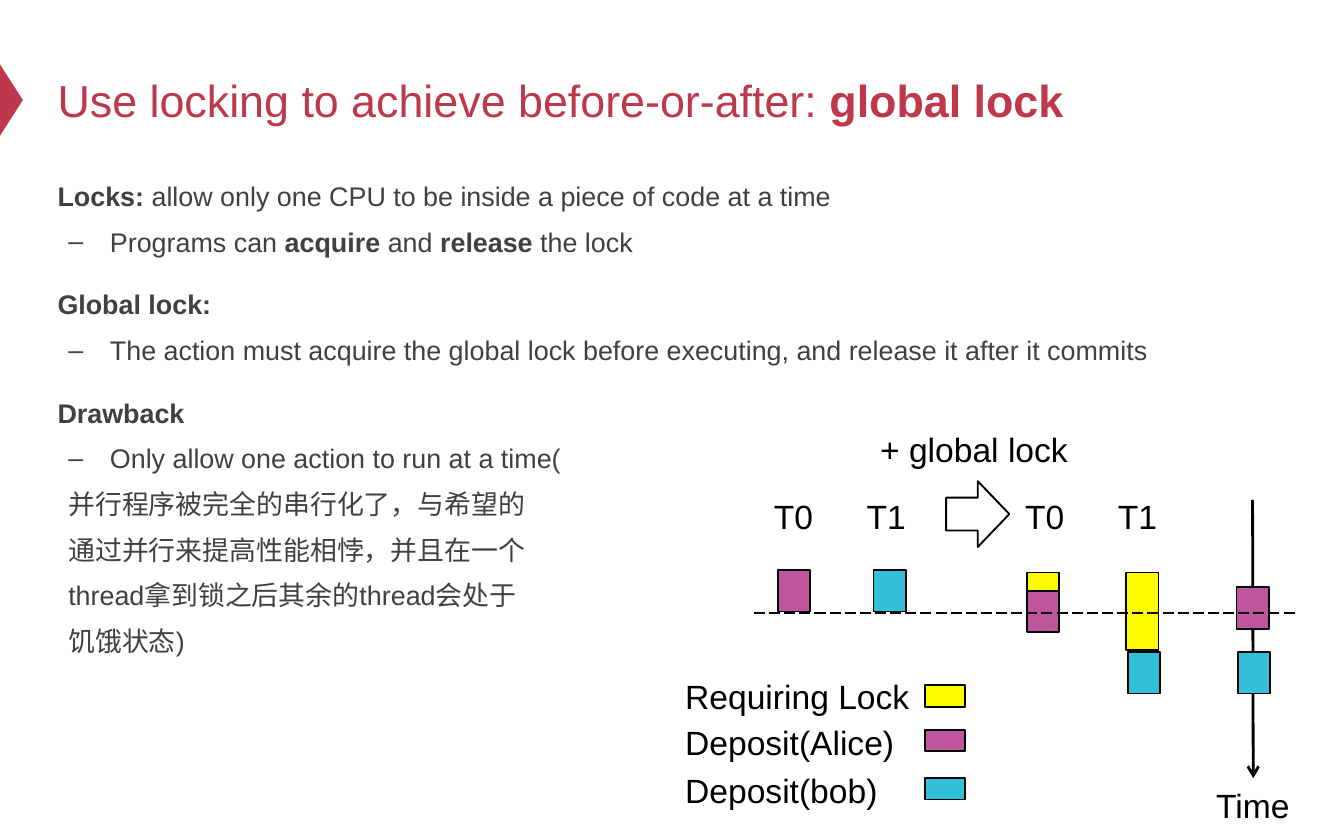
from lxml import etree
from pptx import Presentation
from pptx.dml.color import RGBColor
from pptx.enum.dml import MSO_LINE
from pptx.enum.shapes import MSO_CONNECTOR, MSO_SHAPE
from pptx.enum.text import MSO_ANCHOR
from pptx.oxml.ns import qn
from pptx.util import Inches, Pt

FONT = "Arial"
COLORS = {
    "accent": "BE384B",
    "body": "404040",
    "ink": "000000",
    "lock": "FFFC00",
    "alice": "BF569D",
    "bob": "32C0D8",
}
BLOCK_WIDTH, BLOCK_HEIGHT = 0.24, 0.31
BODY = [
    ("head", [("Locks: ", True), ("allow only one CPU to be inside a piece of code at a time", False)]),
    ("item", [("Programs can ", False), ("acquire", True), (" and ", False),
              ("release", True), (" the lock", False)]),
    ("head", [("Global lock:", True)]),
    ("item", [("The action must acquire the global lock before executing, "
               "and release it after it commits", False)]),
    ("head", [("Drawback", True)]),
    ("item", [("Only allow one action to run at a time(", False)]),
    ("note", [("并行程序被完全的串行化了，与希望的", False)]),
    ("note", [("通过并行来提高性能相悖，并且在一个", False)]),
    ("note", [("thread拿到锁之后其余的thread会处于", False)]),
    ("note", [("饥饿状态)", False)]),
]
INDENTS = {"head": (0, 0), "item": (0.39, -0.31), "note": (0.08, 0)}


def color(name):
    """Return the named palette colour."""
    return RGBColor.from_string(COLORS[name])


def add_spans(para, spans, size, color_name):
    """Fill a paragraph with (text, bold) spans."""
    for text, bold in spans:
        span = para.add_run()
        span.text = text
        span.font.name = FONT
        span.font.size = Pt(size)
        span.font.bold = bold
        span.font.color.rgb = color(color_name)


def add_text_box(page, left, top, width, height, wrap=True):
    """Add an empty text box."""
    box = page.shapes.add_textbox(Inches(left), Inches(top), Inches(width), Inches(height))
    box.text_frame.word_wrap = wrap
    return box


def add_label(page, text, left, top, width):
    """Add a single-line diagram label."""
    box = add_text_box(page, left, top, width, 0.4, wrap=False)
    add_spans(box.text_frame.paragraphs[0], [(text, False)], 18, "ink")
    return box


def add_block(page, fill, left, top, width=BLOCK_WIDTH, height=BLOCK_HEIGHT, kind=MSO_SHAPE.RECTANGLE):
    """Add an outlined shape, unfilled when fill is None."""
    block = page.shapes.add_shape(kind, Inches(left), Inches(top), Inches(width), Inches(height))
    block.shadow.inherit = False
    if fill:
        block.fill.solid()
        block.fill.fore_color.rgb = color(fill)
    else:
        block.fill.background()
    block.line.color.rgb = color("ink")
    block.line.width = Pt(1)
    return block


def add_line(page, start, end, width):
    """Add a straight black connector without shadow."""
    line = page.shapes.add_connector(
        MSO_CONNECTOR.STRAIGHT, *(Inches(value) for value in (*start, *end)))
    line.line.color.rgb = color("ink")
    line.line.width = Pt(width)
    etree.SubElement(line._element.spPr, qn("a:effectLst"))
    return line


def add_title(page, left, top, width, height):
    """Place the title and the marker at the slide edge."""
    marker = page.shapes.add_shape(
        MSO_SHAPE.ISOSCELES_TRIANGLE, Inches(left - 0.51), Inches(top + 0.41), Inches(0.53), Inches(0.17))
    marker.rotation = 90
    marker.shadow.inherit = False
    marker.fill.solid()
    marker.fill.fore_color.rgb = color("accent")
    marker.line.fill.background()
    frame = add_text_box(page, left, top, width, height).text_frame
    frame.vertical_anchor = MSO_ANCHOR.MIDDLE
    add_spans(frame.paragraphs[0],
              [("Use locking to achieve before-or-after: ", False), ("global lock", True)], 24, "accent")


def add_body(page, left, top, width, height):
    """Place the headings, dashed items and indented notes."""
    frame = add_text_box(page, left, top, width, height).text_frame
    for index, (kind, spans) in enumerate(BODY):
        para = frame.add_paragraph() if index else frame.paragraphs[0]
        para.line_spacing = 1.2
        if index:
            para.space_before = Pt(12.8 if kind == "head" else 3.7)
        margin, indent = INDENTS[kind]
        properties = para._p.get_or_add_pPr()
        properties.set("marL", str(Inches(margin)))
        properties.set("indent", str(Inches(indent)))
        if kind == "item":
            etree.SubElement(properties, qn("a:buFont"), typeface=FONT)
            etree.SubElement(properties, qn("a:buChar"), char="–")
        else:
            etree.SubElement(properties, qn("a:buNone"))
        add_spans(para, spans, 14.4, "body")


def add_timeline(page, left, top, width):
    """Place both schedules, the time axis and the commit line."""
    time_label = add_label(page, "Time", left + 3.34, top + 2.65, 0.75)
    axis = add_line(page, (left + 3.71, top + 0.58), (left + 3.72, top + 2.65), 1.5)
    axis.end_connect(time_label, 0)
    etree.SubElement(axis.line._get_or_add_ln(), qn("a:tailEnd"), type="arrow")

    for group_left in (0.05, 1.92):
        for index, name in enumerate(("T0", "T1")):
            add_label(page, name, left + group_left + 0.69 * index, top + 0.5, 0.5)
    add_label(page, "+ global lock", left + 0.84, top, 1.61)
    add_block(page, None, left + 1.43, top + 0.44, 0.47, 0.49, MSO_SHAPE.RIGHT_ARROW)

    actions = [
        ("alice", 0.18, 1.1), ("bob", 0.89, 1.1),
        ("alice", 2.03, 1.25), ("bob", 2.78, 1.71),
        ("alice", 3.59, 1.23), ("bob", 3.6, 1.71),
    ]
    for fill, x, y in actions:
        add_block(page, fill, left + x, top + y)
    for x, height in ((2.03, 0.14), (2.77, 0.58)):
        add_block(page, "lock", left + x, top + 1.12, height=height)

    commit_line = add_line(page, (left, top + 1.42), (left + width, top + 1.42), 0.75)
    commit_line.line.dash_style = MSO_LINE.LONG_DASH


def add_legend(page, left, top):
    """Place the colour key."""
    entries = [
        ("Requiring Lock", "lock", 0, 0.12, 1.88),
        ("Deposit(Alice)", "alice", 0.34, 0.45, 1.77),
        ("Deposit(bob)", "bob", 0.7, 0.81, 1.65),
    ]
    for text, fill, label_top, swatch_top, width in entries:
        add_label(page, text, left, top + label_top, width)
        add_block(page, fill, left + 1.88, top + swatch_top, 0.3, 0.16)


def main():
    """Build and save the deck."""
    deck = Presentation()
    deck.slide_width, deck.slide_height = Inches(10), Inches(6.25)
    page = deck.slides.add_slide(deck.slide_layouts[6])
    add_title(page, 0.33, 0.25, 9, 0.98)
    add_body(page, 0.33, 1.24, 9, 3.7)
    add_timeline(page, 5.61, 3.14, 4.05)
    add_legend(page, 5, 4.98)
    deck.save("out.pptx")


if __name__ == "__main__":
    main()
